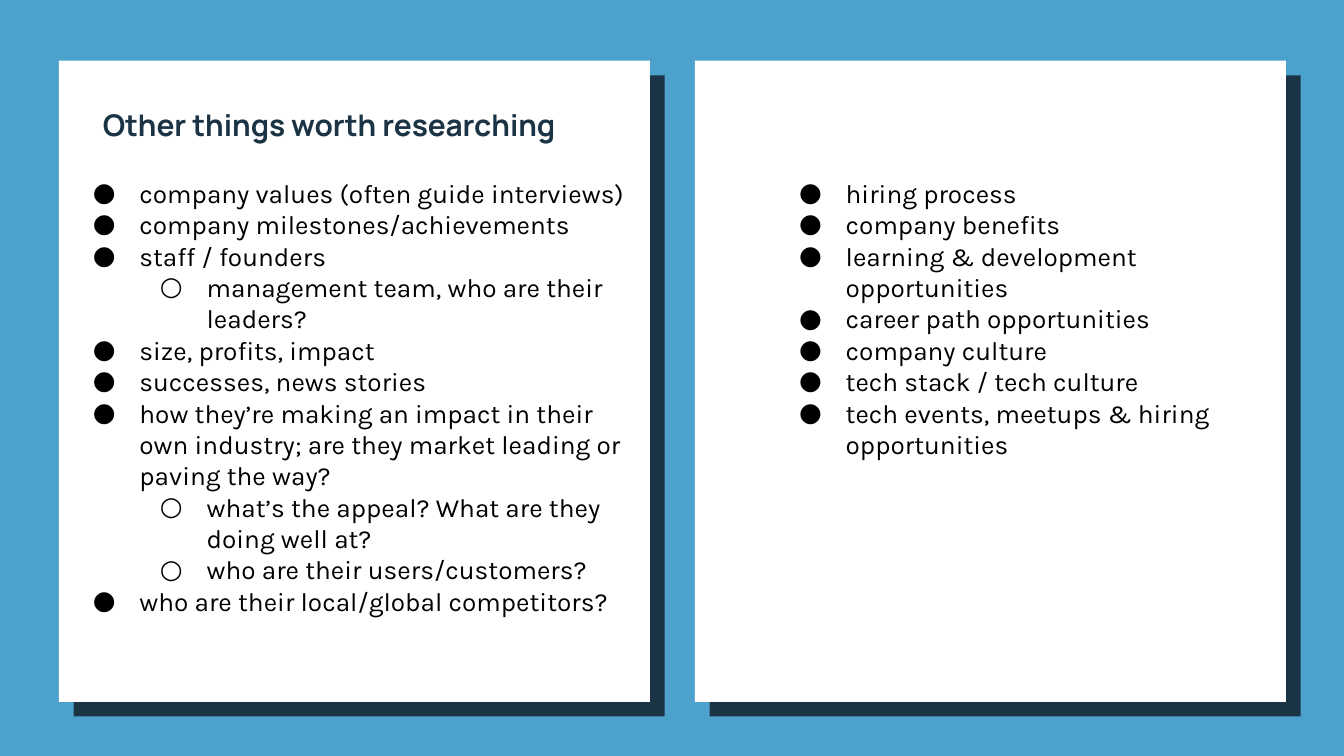
from pptx import Presentation, util as u
from pptx.dml.color import RGBColor
from pptx.enum import shapes, text
from pptx.oxml.ns import qn
from lxml import etree

LEFT = [
    (0, "company values (often guide interviews)"),
    (0, "company milestones/achievements"),
    (0, "staff / founders"),
    (1, "management team, who are their leaders?"),
    (0, "size, profits, impact"),
    (0, "successes, news stories"),
    (0, "how they’re making an impact in their own industry; "
        "are they market leading or paving the way?"),
    (1, "what’s the appeal? What are they doing well at?"),
    (1, "who are their users/customers?"),
    (0, "who are their local/global competitors?"),
]
RIGHT = [
    (0, "hiring process"),
    (0, "company benefits"),
    (0, "learning & development opportunities"),
    (0, "career path opportunities"),
    (0, "company culture"),
    (0, "tech stack / tech culture"),
    (0, "tech events, meetups & hiring opportunities"),
]


def color(code):
    return RGBColor.from_string(code)


class Deck:
    """Holds the style and the current slide, and draws each kind of element."""

    sky, navy, white, black = "4DA2CD", "1B3445", "FFFFFF", "000000"
    head, body = "Manrope", "Karla"
    marks = "●○"

    def __init__(self):
        self.prs = Presentation()
        self.prs.slide_width, self.prs.slide_height = u.Pt(720), u.Pt(405)
        self.slide = self.prs.slides.add_slide(self.prs.slide_layouts[6])
        fill = self.slide.background.fill
        fill.solid()
        fill.fore_color.rgb = color(self.sky)

    def rect(self, box, hue):
        shape = self.slide.shapes.add_shape(
            shapes.MSO_SHAPE.RECTANGLE, *map(u.Pt, box))
        shape.shadow.inherit = False
        shape.fill.solid()
        shape.fill.fore_color.rgb = color(hue)
        shape.line.fill.background()

    def card(self, left, top, wide, high, shift=7.9):
        self.rect((left + shift, top + shift, wide, high), self.navy)
        self.rect((left, top, wide, high), self.white)

    def frame(self, box):
        frame = self.slide.shapes.add_textbox(*map(u.Pt, box)).text_frame
        frame.word_wrap = True
        frame.vertical_anchor = text.MSO_ANCHOR.TOP
        frame.margin_left = frame.margin_right = u.Pt(7.2)
        frame.margin_top = frame.margin_bottom = u.Pt(7.2)
        return frame

    def font(self, para, name, size, hue, bold=False):
        font = para.font
        font.name, font.size, font.bold = name, u.Pt(size), bold
        font.color.rgb = color(hue)

    def title(self, box, words):
        para = self.frame(box).paragraphs[0]
        para.text = words
        self.font(para, self.head, 16, self.navy, True)

    def bullets(self, box, items):
        frame = self.frame(box)
        for i, (level, words) in enumerate(items):
            para = frame.add_paragraph() if i else frame.paragraphs[0]
            para.text, para.level = words, level
            props = para._p.get_or_add_pPr()
            props.set("marL", str(u.Pt(36 * (level + 1))))
            props.set("indent", str(-u.Pt(25)))
            tint = etree.SubElement(props, qn("a:buClr"))
            etree.SubElement(tint, qn("a:srgbClr"), val=self.black)
            etree.SubElement(props, qn("a:buFont"), typeface=self.body)
            etree.SubElement(props, qn("a:buChar"), char=self.marks[level])
            self.font(para, self.body, 14, self.black)

    def save(self):
        self.prs.save("out.pptx")


def main():
    deck = Deck()
    for left in (31.6, 372.3):
        deck.card(left, 32.5, 316.6, 343.5)
    deck.title((48, 49.7, 296, 38), "Other things worth researching")
    deck.bullets((31.6, 87.8, 312, 276.5), LEFT)
    deck.bullets((410, 87.8, 257, 250.5), RIGHT)
    deck.save()


if __name__ == "__main__":
    main()
